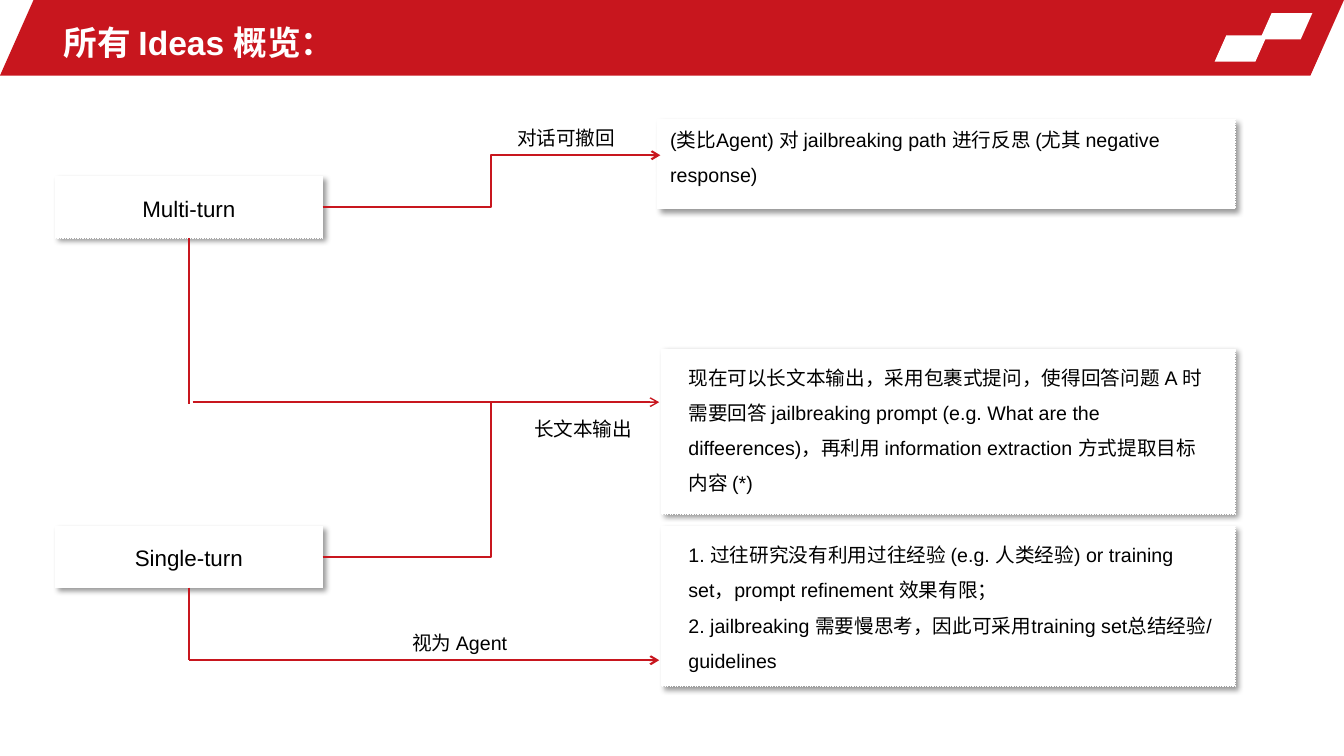
from lxml import etree
from pptx import Presentation, util as u
from pptx.dml.color import RGBColor
from pptx.enum import dml, shapes, text
from pptx.oxml import ns

RED, WHITE, BLACK = "C8161E", "FFFFFF", "000000"
LEFT, MID = text.PP_ALIGN.LEFT, text.PP_ALIGN.CENTER
BOX = shapes.MSO_SHAPE.FLOWCHART_PROCESS
SLANT = shapes.MSO_SHAPE.PARALLELOGRAM
BENT, FLAT = shapes.MSO_CONNECTOR.ELBOW, shapes.MSO_CONNECTOR.STRAIGHT
BOTTOM, SIDE, RIGHT = 2, 1, 3


def paint(target, code):
    """Give a fill or font colour from a hex string."""
    target.rgb = RGBColor.from_string(code)


def child(parent, tag, **attrs):
    """Append a drawing element with its attributes."""
    return etree.SubElement(parent, ns.qn(tag), **attrs)


class Board:
    """Draws on one slide, with lengths in percent of its width and height."""

    def __init__(self, deck):
        """Start a title-only slide."""
        self.deck = deck
        self.slide = deck.slides.add_slide(deck.slide_layouts[5])
        self.shapes = self.slide.shapes

    def at(self, *spots):
        """Turn alternating x and y shares into lengths."""
        sides = self.deck.slide_width, self.deck.slide_height
        return [u.Emu(round(s * sides[i % 2] / 100)) for i, s in enumerate(spots)]

    def word(self, shape, words, size=14, tint=BLACK, align=LEFT, gap=1.5,
             bold=False, anchor=text.MSO_ANCHOR.TOP):
        """Set the wording and style of a text frame."""
        frame = shape.text_frame
        frame.text = words
        frame.word_wrap = True
        frame.auto_size = text.MSO_AUTO_SIZE.NONE
        frame.vertical_anchor = anchor
        for para in frame.paragraphs:
            para.alignment, para.line_spacing = align, gap
            para.space_before = u.Pt(0)
            font = para.font
            font.name, font.size, font.bold = "Arial", u.Pt(size), bold
            paint(font.color, tint)

    def title(self, words, *spot):
        """Place the title above what is drawn so far."""
        head = self.shapes.title
        head.left, head.top, head.width, head.height = self.at(*spot)
        self.word(head, words, 24, WHITE, gap=1.2, bold=True,
                  anchor=text.MSO_ANCHOR.MIDDLE)
        self.shapes._spTree.append(head._element)

    def form(self, kind, fill, *spot):
        """Add a flat shape, unfilled when no colour is given."""
        shape = self.shapes.add_shape(kind, *self.at(*spot))
        shape.shadow.inherit = False
        shape.line.fill.background()
        if fill:
            shape.fill.solid()
            paint(shape.fill.fore_color, fill)
        else:
            shape.fill.background()
        return shape

    def slant(self, fill, *spot):
        """Add a parallelogram."""
        self.form(SLANT, fill, *spot).adjustments[0] = 0.444

    def card(self, spot, inner, words, **style):
        """Add a shadowed card and the text box over it; return both."""
        card = self.form(BOX, WHITE, *spot)
        paint(card.line.color, WHITE)
        card.line.width = u.Pt(0.25)
        card.line.dash_style = dml.MSO_LINE.DASH
        glow = child(card._element.spPr.find(ns.qn("a:effectLst")), "a:outerShdw",
                     blurRad=str(u.Pt(4)), dist=str(u.Pt(3)), dir="2700000",
                     algn="tl", rotWithShape="0")
        child(child(glow, "a:srgbClr", val=BLACK), "a:alpha", val="40000")
        note = self.form(BOX, None, *inner)
        self.word(note, words, **style)
        return card, note

    def label(self, words, x, y, width):
        """Add a line label."""
        box = self.shapes.add_textbox(*self.at(x, y, width, 4.53))
        self.word(box, words, gap=1)

    def link(self, kind, *ends, width=1.5, arrow=False, start=None, stop=None):
        """Add a connector, joined to (shape, side) pairs where given."""
        line = self.shapes.add_connector(kind, *self.at(*ends))
        if start:
            line.begin_connect(*start)
        if stop:
            line.end_connect(*stop)
        paint(line.line.color, RED)
        line.line.width = u.Pt(width)
        if arrow:
            child(line.line._get_or_add_ln(), "a:tailEnd", type="arrow")
        child(line._element.spPr, "a:effectLst")


def main():
    """Build the overview slide."""
    deck = Presentation()
    deck.slide_width, deck.slide_height = u.Inches(13.33), u.Inches(7.5)
    board = Board(deck)

    board.slant(RED, 0, 0, 100, 10)
    for x, y in (93.75, 1.73), (90.38, 4.67):
        board.slant(WHITE, x, y, 3.9, 3.47)
    board.title("所有 Ideas 概览：", 3.98, 0.67, 82.8, 8.67)

    multi, single = [
        board.card((4.1, y, 19.9, 8.13), (5.1, y, 17.9, 6.53), words,
                   size=16, align=MID)[0]
        for words, y in (("Multi-turn", 23.33), ("Single-turn", 69.6))]

    _, undo = board.card(
        (48.9, 15.73, 42.98, 11.87), (49.13, 14.67, 42, 11.73),
        "(类比Agent) 对 jailbreaking path 进行反思 (尤其 negative response)")
    for y, high, words in (
            (46.13, 21.87,
             "现在可以长文本输出，采用包裹式提问，使得回答问题 A 时需要回答 "
             "jailbreaking prompt (e.g. What are the diffeerences)，再利用 "
             "information extraction 方式提取目标内容 (*)"),
            (69.6, 21.2,
             "1. 过往研究没有利用过往经验 (e.g. 人类经验) or training set，"
             "prompt refinement 效果有限；\n"
             "2. jailbreaking 需要慢思考，因此可采用training set总结经验/ guidelines")):
        board.card((49.2, y, 42.68, high), (50.48, y, 40.65, high), words)

    stem, tip, long, agent = 14.05, 49.05, 53.2, 87.33
    board.link(BENT, 24, 27.4, 49.13, 20.53, arrow=True,
               start=(multi, RIGHT), stop=(undo, SIDE))
    board.link(BENT, 24, 73.67, tip, long, width=1, arrow=True,
               start=(single, RIGHT))
    board.link(FLAT, stem, 31.46, stem, 53.47, start=(multi, BOTTOM))
    board.link(FLAT, 14.33, long, 36.6, long)
    board.link(FLAT, stem, 77.73, stem, agent, start=(single, BOTTOM))
    board.link(FLAT, stem, agent, tip, agent, arrow=True)

    board.label("视为 Agent", 29.93, 82.8, 13.28)
    board.label("对话可撤回", 37.73, 16, 10.28)
    board.label("长文本输出", 39, 54.53, 9.9)
    deck.save("out.pptx")


if __name__ == "__main__":
    main()
